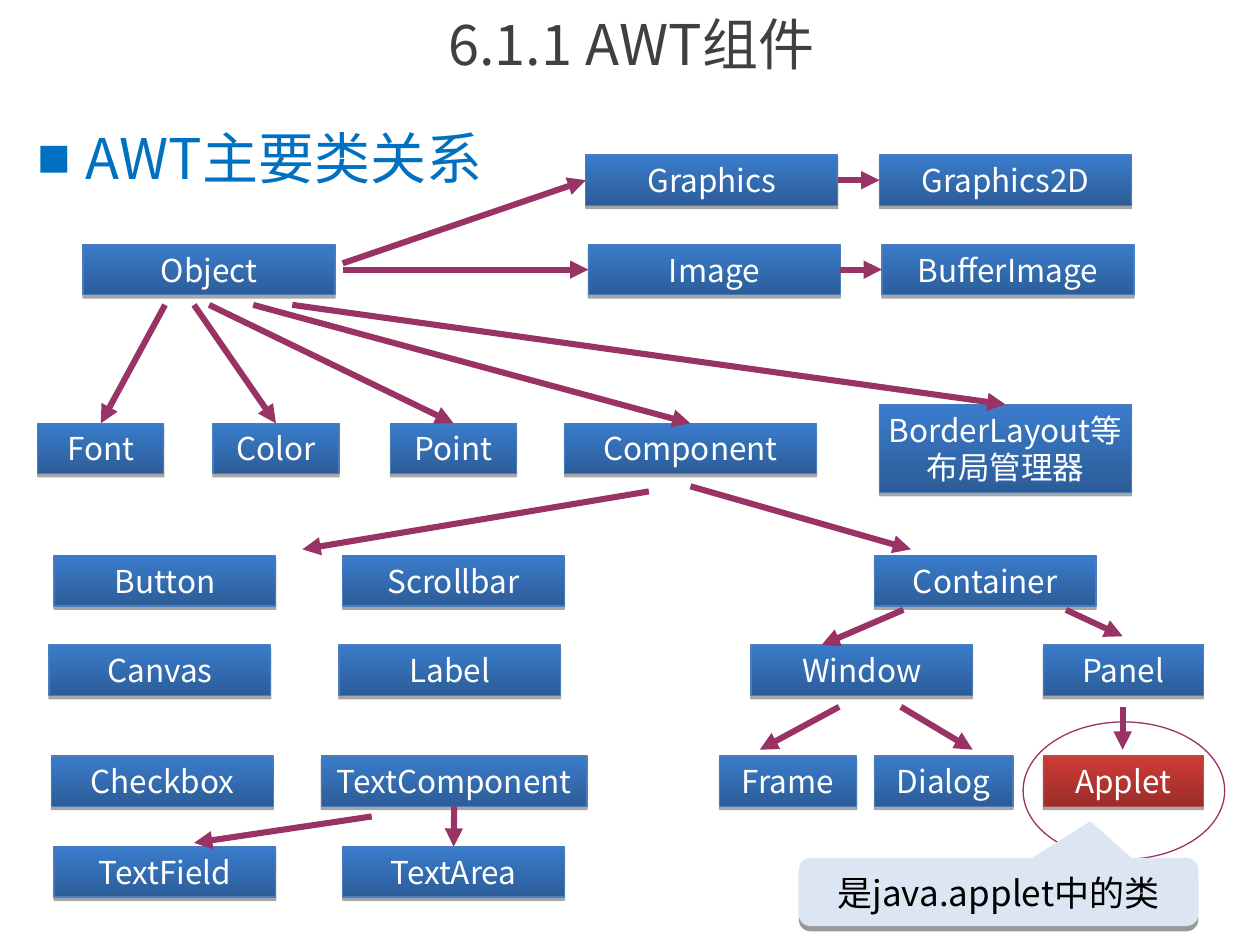
from dataclasses import dataclass
from typing import NamedTuple, Union

from lxml import etree
from pptx import Presentation
from pptx import util as u
from pptx.dml.color import RGBColor
from pptx.enum import shapes, text
from pptx.oxml.ns import qn

FONT = "Noto Sans CJK SC"
BLUE_DARK, BLUE_LIGHT = RGBColor(0x2C, 0x5D, 0x98), RGBColor(0x3A, 0x7C, 0xCB)
BLUE_EDGE = RGBColor(0x4A, 0x7E, 0xBB)
RED_DARK, RED_LIGHT = RGBColor(0x9B, 0x2D, 0x2A), RGBColor(0xCE, 0x3B, 0x37)
RED_EDGE = RGBColor(0xBE, 0x4B, 0x48)
PLUM = RGBColor(0x99, 0x33, 0x66)
PALE = RGBColor(0xDC, 0xE6, 0xF2)
HEADING = RGBColor(0x40, 0x40, 0x40)
TOPIC = RGBColor(0x00, 0x70, 0xC0)
WHITE, BLACK = RGBColor(0xFF, 0xFF, 0xFF), RGBColor(0, 0, 0)

# The slide is a grid of 100 columns by 75 rows.
WIDTH, HEIGHT = u.Inches(10), u.Inches(7.5)
COL, ROW = WIDTH / 100, HEIGHT / 75

# Top row of each level of the class tree
GRAPHICS, ROOT, CHILDREN = 12.3, 19.4, 33.6
CONTROLS, WINDOWS, LEAVES, TEXTS = 44.1, 51.2, 60, 67.2
BELOW_ROOT = ROOT + 4.8
TOP, LEFT, BOTTOM, RIGHT = range(4)


class Palette(NamedTuple):
    dark: RGBColor
    light: RGBColor
    edge: RGBColor


BLUE = Palette(BLUE_DARK, BLUE_LIGHT, BLUE_EDGE)
RED = Palette(RED_DARK, RED_LIGHT, RED_EDGE)


@dataclass(frozen=True)
class ClassBox:
    label: str
    col: float
    row: float
    cols: float
    rows: float = 4
    palette: Palette = BLUE


class Point(NamedTuple):
    col: float
    row: float


class Side(NamedTuple):
    """The middle of one side of a class box."""
    label: str
    site: int


class Arrow(NamedTuple):
    start: Union[Point, Side]
    end: Union[Point, Side]


LAYOUTS = "BorderLayout等布局管理器"
BOXES = [
    ClassBox("Graphics", 46.5, GRAPHICS, 20),
    ClassBox("Graphics2D", 69.8, GRAPHICS, 20),
    ClassBox("Object", 6.6, ROOT, 20),
    ClassBox("Image", 46.7, ROOT, 20),
    ClassBox("BufferImage", 70, ROOT, 20),
    ClassBox("Font", 3, CHILDREN, 10),
    ClassBox("Color", 16.9, CHILDREN, 10),
    ClassBox("Point", 31, CHILDREN, 10),
    ClassBox("Component", 44.8, CHILDREN, 20),
    ClassBox(LAYOUTS, 69.8, CHILDREN - 1.5, 20, 7),
    ClassBox("Button", 4.3, CONTROLS, 17.6),
    ClassBox("Scrollbar", 27.2, CONTROLS, 17.6),
    ClassBox("Container", 69.4, CONTROLS, 17.6),
    ClassBox("Canvas", 3.9, WINDOWS, 17.6),
    ClassBox("Label", 26.9, WINDOWS, 17.6),
    ClassBox("Window", 59.6, WINDOWS, 17.6),
    ClassBox("Panel", 82.8, WINDOWS, 12.7),
    ClassBox("Checkbox", 4.1, LEAVES, 17.6),
    ClassBox("TextComponent", 25.5, LEAVES, 21.1),
    ClassBox("Frame", 57.1, LEAVES, 10.9),
    ClassBox("Dialog", 69.4, LEAVES, 11),
    ClassBox("Applet", 82.8, LEAVES, 12.7, palette=RED),
    ClassBox("TextField", 4.3, TEXTS, 17.6),
    ClassBox("TextArea", 27.2, TEXTS, 17.6),
]

ARROWS = [
    Arrow(Point(27.2, 20.9), Side("Graphics", LEFT)),
    Arrow(Point(27.2, 21.4), Side("Image", LEFT)),
    Arrow(Side("Graphics", RIGHT), Side("Graphics2D", LEFT)),
    Arrow(Side("Image", RIGHT), Side("BufferImage", LEFT)),
    Arrow(Point(13.1, BELOW_ROOT), Side("Font", TOP)),
    Arrow(Point(15.4, BELOW_ROOT), Side("Color", TOP)),
    Arrow(Point(16.6, BELOW_ROOT), Side("Point", TOP)),
    Arrow(Point(20.1, BELOW_ROOT), Side("Component", TOP)),
    Arrow(Point(23.2, BELOW_ROOT), Side(LAYOUTS, TOP)),
    Arrow(Point(51.5, 39), Point(24, 43.6)),
    Arrow(Point(54.8, 38.6), Point(72.3, 43.6)),
    Arrow(Point(71.7, 48.4), Point(65.2, WINDOWS)),
    Arrow(Point(84.6, 48.4), Point(89.1, 50.5)),
    Arrow(Point(66.6, 56.1), Point(60.3, 59.5)),
    Arrow(Point(71.5, 56.1), Point(77.2, 59.5)),
    Arrow(Point(89.1, 56.1), Point(89.1, 59.5)),
    Arrow(Point(29.5, 64.8), Point(15.4, 66.9)),
    Arrow(Side("TextComponent", BOTTOM), Side("TextArea", TOP)),
]


def area(col: float, row: float, cols: float, rows: float) -> list[int]:
    """Left, top, width and height of a block of grid cells."""
    return [round(n) for n in (col * COL, row * ROW, cols * COL, rows * ROW)]


def add_xml(parent, tag: str, **attrs):
    return etree.SubElement(parent, qn(tag), {k: str(v) for k, v in attrs.items()})


def set_font(p, size: float, color: RGBColor) -> None:
    p.font.size, p.font.name = u.Pt(size), FONT
    p.font.color.rgb = color
    latin = p.font._element.find(qn("a:latin")) if hasattr(p.font, "_element") \
        else p._p.pPr.find(qn("a:defRPr")).find(qn("a:latin"))
    ea = etree.Element(qn("a:ea"), typeface=FONT)
    latin.addnext(ea)


def drop_shadow(effects, distance: float, opacity: int, angle: int = 90) -> None:
    shadow = add_xml(effects, "a:outerShdw", blurRad=0, dist=u.Pt(distance),
                     dir=angle * 60000, rotWithShape=0)
    color = add_xml(shadow, "a:srgbClr", val=BLACK)
    add_xml(color, "a:alpha", val=opacity * 1000)


def shape_shadow(sp, distance: float, opacity: int) -> None:
    sp.shadow.inherit = False
    drop_shadow(sp._element.spPr.find(qn("a:effectLst")), distance, opacity)


def place(sp, *cells: float) -> None:
    sp.left, sp.top, sp.width, sp.height = area(*cells)


def fill_title(sp) -> None:
    place(sp, 6.7, 0, 86.8, 6.8)
    tf = sp.text_frame
    tf.auto_size = text.MSO_AUTO_SIZE.NONE
    tf.vertical_anchor = text.MSO_ANCHOR.MIDDLE
    p = tf.paragraphs[0]
    p.alignment = text.PP_ALIGN.CENTER
    r = p.add_run()
    r.text = "6.1.1 AWT组件"
    set_font(p, 32, HEADING)
    drop_shadow(add_xml(r._r.get_or_add_rPr(), "a:effectLst"), 3, 43, 45)


def fill_topic(sp) -> None:
    place(sp, 2, 9.9, 96.1, 63.8)
    tf = sp.text_frame
    tf.auto_size = text.MSO_AUTO_SIZE.NONE
    tf.text = "AWT主要类关系"
    p = tf.paragraphs[0]
    p.line_spacing, p.space_before = 0.9, u.Pt(0)
    pPr = p._p.get_or_add_pPr()
    pPr.set("marL", str(u.Inches(0.38)))
    pPr.set("indent", str(-u.Inches(0.38)))
    add_xml(add_xml(pPr, "a:buClr"), "a:srgbClr", val=TOPIC)
    add_xml(pPr, "a:buSzPct", val=60000)
    add_xml(pPr, "a:buFont", typeface=FONT)
    add_xml(pPr, "a:buChar", char="■")
    set_font(p, 32, TOPIC)


def add_class(slide, box: ClassBox):
    sp = slide.shapes.add_shape(shapes.MSO_SHAPE.RECTANGLE,
                                *area(box.col, box.row, box.cols, box.rows))
    sp.fill.gradient()
    sp.fill.gradient_angle = 90
    for stop, color in zip(sp.fill.gradient_stops, box.palette):
        stop.color.rgb = color
    sp.line.color.rgb, sp.line.width = box.palette.edge, u.Pt(0.75)
    shape_shadow(sp, 1.8, 35)
    tf = sp.text_frame
    tf.margin_left = tf.margin_right = 0
    tf.word_wrap, tf.auto_size = True, text.MSO_AUTO_SIZE.SHAPE_TO_FIT_TEXT
    tf.vertical_anchor = text.MSO_ANCHOR.TOP
    tf.text = box.label
    p = tf.paragraphs[0]
    p.alignment = text.PP_ALIGN.CENTER
    set_font(p, 18, WHITE)
    return sp


def add_arrow(slide, arrow: Arrow, classes: dict) -> None:
    line = slide.shapes.add_connector(shapes.MSO_CONNECTOR.STRAIGHT, 0, 0, 0, 0)
    if isinstance(arrow.start, Side):
        line.begin_connect(classes[arrow.start.label], arrow.start.site)
    else:
        line.begin_x, line.begin_y = area(*arrow.start, 0, 0)[:2]
    if isinstance(arrow.end, Side):
        line.end_connect(classes[arrow.end.label], arrow.end.site)
    else:
        line.end_x, line.end_y = area(*arrow.end, 0, 0)[:2]
    line.line.color.rgb, line.line.width = PLUM, u.Pt(3.5)
    add_xml(line.line._get_or_add_ln(), "a:tailEnd", type="triangle")
    add_xml(line._element.spPr, "a:effectLst")


def add_applet_note(slide) -> None:
    ring = slide.shapes.add_shape(shapes.MSO_SHAPE.OVAL, *area(81.2, 57.3, 16, 10.9))
    ring.fill.background()
    ring.line.color.rgb, ring.line.width = PLUM, u.Pt(0.75)
    ring.shadow.inherit = False
    note = slide.shapes.add_shape(shapes.MSO_SHAPE.ROUNDED_RECTANGULAR_CALLOUT,
                                  *area(63.4, 68.1, 31.7, 5.4))
    for i, value in enumerate((0.23, -1.04, 0.17)):
        note.adjustments[i] = value
    note.fill.solid()
    note.fill.fore_color.rgb = PALE
    note.line.fill.background()
    shape_shadow(note, 3, 40)
    tf = note.text_frame
    tf.word_wrap, tf.text = True, "是java.applet中的类"
    p = tf.paragraphs[0]
    p.alignment = text.PP_ALIGN.CENTER
    set_font(p, 20, BLACK)


def main() -> None:
    prs = Presentation()
    prs.slide_width, prs.slide_height = WIDTH, HEIGHT
    slide = prs.slides.add_slide(prs.slide_layouts[1])
    fill_title(slide.shapes.title)
    fill_topic(slide.placeholders[1])
    classes = {box.label: add_class(slide, box) for box in BOXES}
    for arrow in ARROWS:
        add_arrow(slide, arrow, classes)
    add_applet_note(slide)
    prs.save("out.pptx")


if __name__ == "__main__":
    main()
